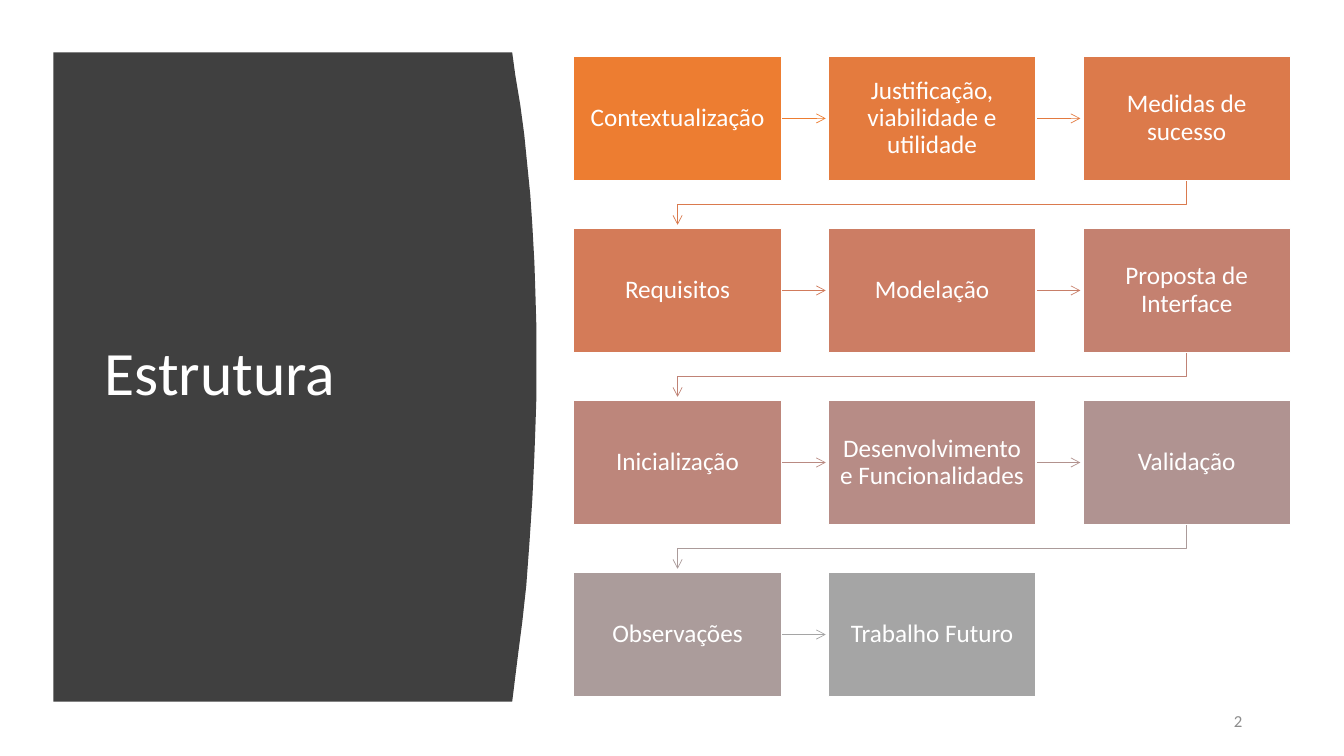
from lxml import etree
from pptx import Presentation
from pptx.dml.color import RGBColor
from pptx.enum.shapes import MSO_CONNECTOR, MSO_SHAPE
from pptx.enum.text import MSO_ANCHOR, PP_ALIGN
from pptx.oxml.ns import qn
from pptx.util import Inches, Pt

STRAIGHT = MSO_CONNECTOR.STRAIGHT
RECT = MSO_SHAPE.RECTANGLE
MIDDLE = MSO_ANCHOR.MIDDLE
LEFT, CENTER, RIGHT = PP_ALIGN.LEFT, PP_ALIGN.CENTER, PP_ALIGN.RIGHT

# Content: step, box colour, colour of the arrow to the next step
TITLE = "Estrutura"
PAGE = "2"
STEPS = [
    ("Contextualização", "ED7D31", "ED7D31"),
    ("Justificação, viabilidade e utilidade", "E47B3E", "E37A40"),
    ("Medidas de sucesso", "DC7A4B", "DA7A4E"),
    ("Requisitos", "D47B58", "D17B5C"),
    ("Modelação", "CC7D64", "C87F69"),
    ("Proposta de Interface", "C48170", "C08376"),
    ("Inicialização", "BD867B", "B98A82"),
    ("Desenvolvimento e Funcionalidades", "B78C86", "B2928E"),
    ("Validação", "B09391", "AB9B9A"),
    ("Observações", "AB9C9B", "A5A5A5"),
    ("Trabalho Futuro", "A5A5A5", None),
]
PANEL = [
    (0.53, 0.52), (5.08, 0.52), (5.11, 0.74), (5.16, 1.04), (5.20, 1.34),
    (5.23, 1.64), (5.26, 1.94), (5.28, 2.24), (5.30, 2.60), (5.31, 2.90),
    (5.32, 3.25), (5.32, 3.94), (5.31, 4.25), (5.30, 4.52), (5.28, 4.95),
    (5.25, 5.40), (5.22, 5.81), (5.18, 6.17), (5.14, 6.48), (5.11, 6.72),
    (5.08, 6.96), (0.53, 6.96),
]

# Grid of steps
COLS = 3
X0, Y0 = 5.69, 0.56
BOX_W, BOX_H = 2.06, 1.23
STEP_X, STEP_Y = 5.05 / 2, 5.12 / 3
ARROW = 0.44
BEND = 0.24

prs = Presentation()
prs.slide_width, prs.slide_height = Inches(13.33), Inches(7.5)
s = prs.slides.add_slide(prs.slide_layouts[6])


def rgb(color):
    return RGBColor.from_string(color)


def write(sp, text, size, color, align, spacing=None):
    tf = sp.text_frame
    tf.word_wrap = True
    tf.vertical_anchor = MIDDLE
    tf.text = text
    p = tf.paragraphs[0]
    p.alignment = align
    p.line_spacing = spacing
    font = p.runs[0].font
    font.name, font.size = "Calibri", Pt(size)
    font.color.rgb = rgb(color)


def outline(points, close):
    points = [(Inches(x), Inches(y)) for x, y in points]
    fb = s.shapes.build_freeform(*points[0])
    fb.add_line_segments(points[1:], close=close)
    sp = fb.convert_to_shape()
    sp.shadow.inherit = False
    return sp


def style_arrow(sp, color):
    sp.line.color.rgb = rgb(color)
    sp.line.width = Pt(0.5)
    etree.SubElement(sp.line._get_or_add_ln(), qn("a:tailEnd"), type="arrow")


def arrow_right(x, y, color):
    cx = s.shapes.add_connector(
        STRAIGHT, Inches(x), Inches(y), Inches(x + ARROW), Inches(y))
    style_arrow(cx, color)
    etree.SubElement(cx._element.spPr, qn("a:effectLst"))


def arrow_next_row(x, y, color):
    first = X0 + BOX_W / 2
    sp = outline([(x, y), (x, y + BEND), (first, y + BEND),
                  (first, y + ARROW)], close=False)
    sp.fill.background()
    style_arrow(sp, color)


def step_box(x, y, text, color):
    sp = s.shapes.add_shape(
        RECT, Inches(x), Inches(y), Inches(BOX_W), Inches(BOX_H))
    sp.shadow.inherit = False
    sp.fill.solid()
    sp.fill.fore_color.rgb = rgb(color)
    sp.line.color.rgb = rgb("FFFFFF")
    sp.line.width = Pt(1)
    write(sp, text, 18, "FFFFFF", CENTER, 0.9)
    tf = sp.text_frame
    tf.margin_left = tf.margin_right = Inches(0.1)
    tf.margin_top = tf.margin_bottom = Inches(0.11)


# Curved panel, title and page number
panel = outline(PANEL, close=True)
panel.fill.solid()
panel.fill.fore_color.rgb = rgb("404040")
panel.line.fill.background()

title = s.shapes.add_textbox(
    Inches(0.94), Inches(1.11), Inches(3.74), Inches(5.24))
write(title, TITLE, 44, "FFFFFF", LEFT, 0.9)
page = s.shapes.add_textbox(
    Inches(11.73), Inches(6.95), Inches(0.69), Inches(0.4))
write(page, PAGE, 12, "8C8C8C", RIGHT)
page.text_frame.paragraphs[0].space_after = Pt(6)

# Steps, each with the arrow to the next one
for i, (text, fill, arrow) in enumerate(STEPS):
    row, col = divmod(i, COLS)
    x, y = X0 + col * STEP_X, Y0 + row * STEP_Y
    if arrow and col < COLS - 1:
        arrow_right(x + BOX_W, y + BOX_H / 2, arrow)
    elif arrow:
        arrow_next_row(x + BOX_W / 2, y + BOX_H, arrow)
    step_box(x, y, text, fill)

prs.save("out.pptx")
